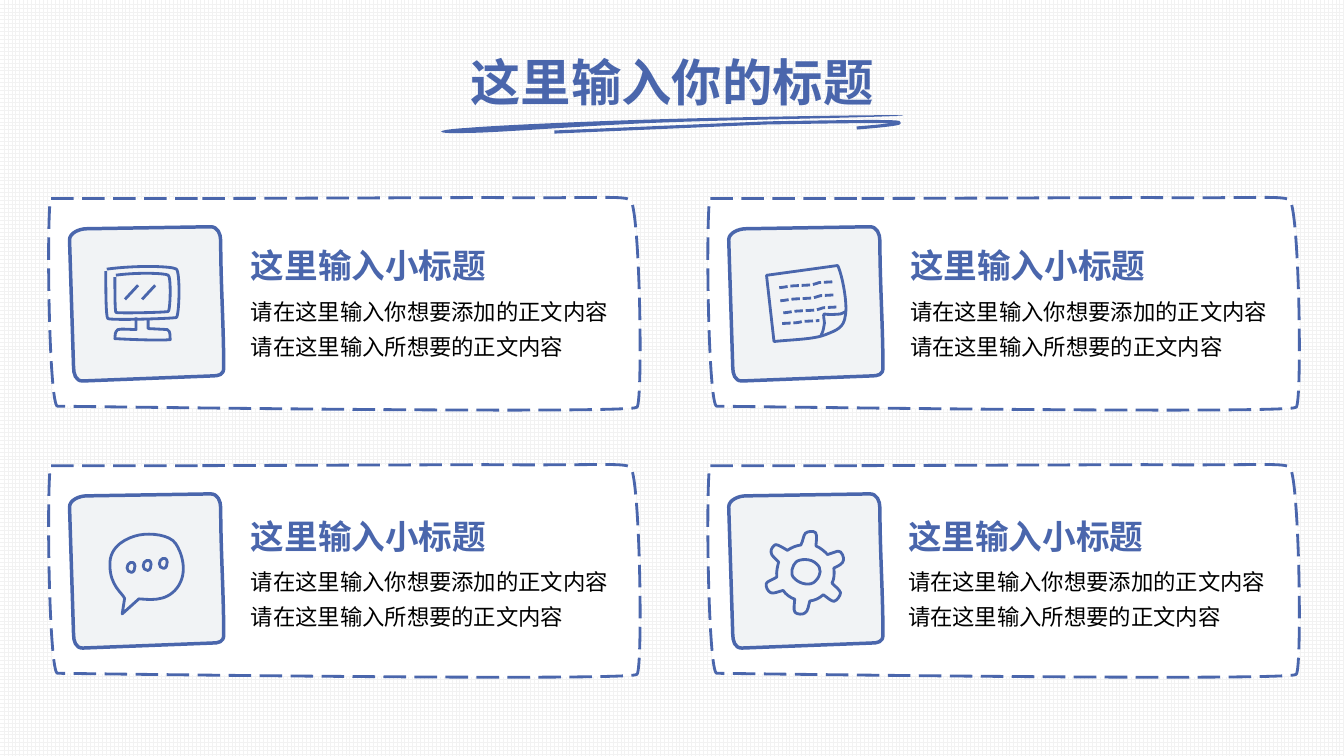
from dataclasses import dataclass
from itertools import product

from lxml import etree
from pptx import Presentation
from pptx.dml.color import RGBColor
from pptx.enum.dml import MSO_LINE, MSO_PATTERN
from pptx.enum.shapes import MSO_CONNECTOR
from pptx.enum.text import MSO_ANCHOR, MSO_AUTO_SIZE, PP_ALIGN
from pptx.oxml.ns import qn
from pptx.util import Pt

LONG, DOTS = MSO_LINE.LONG_DASH, MSO_LINE.SQUARE_DOT
GRID = MSO_PATTERN.LARGE_GRID
STRAIGHT = MSO_CONNECTOR.STRAIGHT
TOP, FIXED = MSO_ANCHOR.TOP, MSO_AUTO_SIZE.NONE
LEFT, CENTER = PP_ALIGN.LEFT, PP_ALIGN.CENTER


@dataclass(frozen=True)
class Theme:
    font: str = "Noto Sans CJK JP"
    blue: RGBColor = RGBColor(0x4A, 0x66, 0xAC)
    tile: RGBColor = RGBColor(0xE5, 0xE8, 0xED)
    white: RGBColor = RGBColor(0xFF, 0xFF, 0xFF)
    black: RGBColor = RGBColor(0, 0, 0)
    mesh: RGBColor = RGBColor(0xF2, 0xF2, 0xF2)
    title: Pt = Pt(36)
    head: Pt = Pt(24)
    body: Pt = Pt(16)


THEME = Theme()

SWOOSH = ("463 127 | 498 124 595 120 667 118 738 116 916 113 894 115 "
          "811 118 719 119 647 122 575 125 491 132 461 132 430 133 429 129 463 127 | z")
TAIL = "550 131 | 760 122 | 816 121 873 120 888 121 903 122 876 125 850 127"
CARD = ("196 197 | 50 197 | 46 231 49 402 57 403 65 403 626 411 632 404 "
        "638 397 635 202 625 198 615 194 592 197 482 196 | z")
TILE = ("69 238 | 69 231 79 227 86 227 | 209 225 | 216 225 219 232 219 239 "
        "219 281 222 323 222 365 222 372 217 373 210 373 | 82 378 | "
        "75 378 73 371 73 364 | z")
SCREEN = (
    "135 315 | 135 327 | 129 327 121 326 117 327 114 329 114 333 114 336 "
    "132 337 160 338 169 337 168 334 170 329 166 327 | 147 326 | 147 316",
    "105 269 | 105 287 105 314 107 316 110 318 172 316 175 315 "
    "178 313 179 270 175 267 171 264 136 263 106 267",
    "114 275 | 114 288 114 308 115 310 117 311 165 310 167 309 "
    "169 308 170 275 167 273 164 271 137 270 115 273",
)
PAGE = (
    "762 271 | 766 337 | 783 336 805 337 817 333 829 329 836 327 838 315 "
    "841 304 837 274 833 265 | z",
    "814 332 | 817 327 817 324 818 320 818 317 817 312 818 311 "
    "822 312 827 312 830 312 834 312 836 312 839 310",
)
ROW = ("774 297 | 779 297 783 296 788 296 793 296 799 296 803 296 "
       "808 296 810 295 814 294 819 294 823 294 828 294")
LAST = ("776 320 | 779 320 782 320 786 320 789 320 793 320 796 319 "
        "799 319 800 319 803 319 806 319 809 319 813 319")
CHAT = ("177 542 | 172 533 154 529 142 530 131 531 111 537 110 557 "
        "108 577 119 585 121 591 | 117 606 | 135 593 | "
        "143 594 161 600 174 586 187 572 182 551 177 542 | z")
DOT = ("126 563 | 126 561 128 558 130 558 132 557 134 559 134 562 "
       "134 565 132 568 130 568 127 568 126 565 126 563 | z")
GEAR = ("820 549 | 830 545 | 834 544 837 552 836 554 836 557 831 560 827 562 "
        "828 567 828 573 826 577 829 580 834 583 835 586 835 589 832 594 829 595 "
        "826 595 823 592 818 589 814 593 810 595 805 596 804 600 804 606 801 608 "
        "799 610 793 610 791 608 789 606 790 599 790 595 786 594 781 591 778 587 "
        "774 588 769 591 766 590 763 589 760 584 761 581 761 579 769 576 771 574 "
        "770 569 771 564 772 559 769 556 764 553 764 550 763 547 766 543 768 542 "
        "771 542 776 545 780 547 784 544 788 542 793 541 795 537 795 531 797 529 "
        "799 527 805 526 807 528 809 531 808 537 808 541 813 543 817 546 820 549 | z")
HUB = ("787 562 | 789 558 799 553 806 556 813 558 815 565 812 572 "
       "810 579 799 581 792 578 785 576 785 566 787 562 | z")


def unit(val):
    return Pt(0.72 * val)


def assign(item, attrs):
    for name, val in attrs.items():
        setattr(item, name, val)


def trace(data):
    parts = [part.split() for part in data.split("|")]
    closed = parts[-1] == ["z"]
    spots, bends = [], []
    for part in parts[:-1] if closed else parts:
        nums = [int(num) for num in part]
        pairs = list(zip(nums[::2], nums[1::2]))
        if len(pairs) > 1:
            first = len(spots) - 1
            bends += range(first, first + len(pairs), 3)
        spots += pairs
    return spots, bends, closed


def bend(shape, starts):
    lines = list(shape._element.iter(qn("a:lnTo")))
    for start in starts:
        arc = etree.Element(qn("a:cubicBezTo"))
        lines[start].addprevious(arc)
        for line in lines[start:start + 3]:
            arc.append(line[0])
            line.getparent().remove(line)


def sketch(slide, data, shift=(0, 0), fill=None, alpha=None, width=2, dash=None, turn=0):
    spots, bends, closed = trace(data)
    spots = [(unit(x + shift[0]), unit(y + shift[1])) for x, y in spots]
    pen = slide.shapes.build_freeform(*spots[0], scale=1.0)
    pen.add_line_segments(spots[1:], close=closed)
    shape = pen.convert_to_shape()
    bend(shape, bends)
    shape.shadow.inherit = False
    shape.rotation = turn
    if fill is None:
        shape.fill.background()
    else:
        shape.fill.solid()
        shape.fill.fore_color.rgb = fill
    if alpha:
        tint = shape._element.spPr.find(qn("a:solidFill"))[0]
        etree.SubElement(tint, qn("a:alpha"), val=str(alpha * 1000))
    if width:
        shape.line.color.rgb = THEME.blue
        assign(shape.line, {"width": Pt(width), "dash_style": dash})
    else:
        shape.line.fill.background()


def stroke(slide, *ends):
    line = slide.shapes.add_connector(STRAIGHT, *map(unit, ends))
    line.line.color.rgb = THEME.blue
    line.line.width = Pt(2)
    etree.SubElement(line._element.spPr, qn("a:effectLst"))


def write(shape, text, size, color, bold=False, align=LEFT, gap=0.9):
    frame = shape.text_frame
    assign(frame, {"word_wrap": True, "auto_size": FIXED, "vertical_anchor": TOP})
    para = frame.paragraphs[0]
    assign(para, {"alignment": align, "line_spacing": gap, "space_before": Pt(0)})
    run = para.add_run()
    run.text = text
    assign(run.font, {"name": THEME.font, "size": size, "bold": bold})
    run.font.color.rgb = color
    etree.SubElement(run.font._element, qn("a:ea"), typeface=THEME.font)


def label(slide, box, *args, **kind):
    write(slide.shapes.add_textbox(*map(unit, box)), *args, **kind)


def header(slide):
    title = slide.shapes.title
    box = map(unit, (423, 53, 487, 66))
    assign(title, dict(zip(("left", "top", "width", "height"), box)))
    write(title, "这里输入你的标题", THEME.title, THEME.blue, bold=True, align=CENTER)
    sketch(slide, SWOOSH, fill=THEME.blue, width=0)
    sketch(slide, TAIL, width=2.25)


def cards(slide):
    for shift in product((0, 654), (0, 265)):
        sketch(slide, CARD, shift, fill=THEME.white, dash=LONG)
        sketch(slide, TILE, shift, fill=THEME.tile, alpha=50, width=2.5)
    for left, top in ((239, 243), (893, 243), (239, 511), (891, 511)):
        label(slide, (left, top + 40, 379, 127),
              "请在这里输入你想要添加的正文内容请在这里输入所想要的正文内容",
              THEME.body, THEME.black, gap=1.3)
        label(slide, (left, top, 349, 81), "这里输入小标题",
              THEME.head, THEME.blue, bold=True)


def icons(slide):
    for data in SCREEN:
        sketch(slide, data)
    for left in (124, 141):
        stroke(slide, left, 297, left + 13, 283)
    for data in PAGE:
        sketch(slide, data, turn=357)
    for shift in ((-1, -13), (0, 0), (3, 12)):
        sketch(slide, ROW, shift, dash=DOTS, turn=357)
    sketch(slide, LAST, dash=DOTS, turn=357)
    sketch(slide, CHAT, turn=353.9)
    for step in range(3):
        sketch(slide, DOT, (16 * step, -2 * step), turn=353.9)
    sketch(slide, GEAR, turn=3.2)
    sketch(slide, HUB, turn=22.1)


def main():
    deck = Presentation()
    assign(deck, {"slide_width": Pt(960), "slide_height": Pt(540)})
    slide = deck.slides.add_slide(deck.slide_layouts[5])
    back = slide.background.fill
    back.patterned()
    back.pattern = GRID
    back.fore_color.rgb = THEME.mesh
    back.back_color.rgb = THEME.white
    header(slide)
    cards(slide)
    icons(slide)
    deck.save("out.pptx")


if __name__ == "__main__":
    main()
